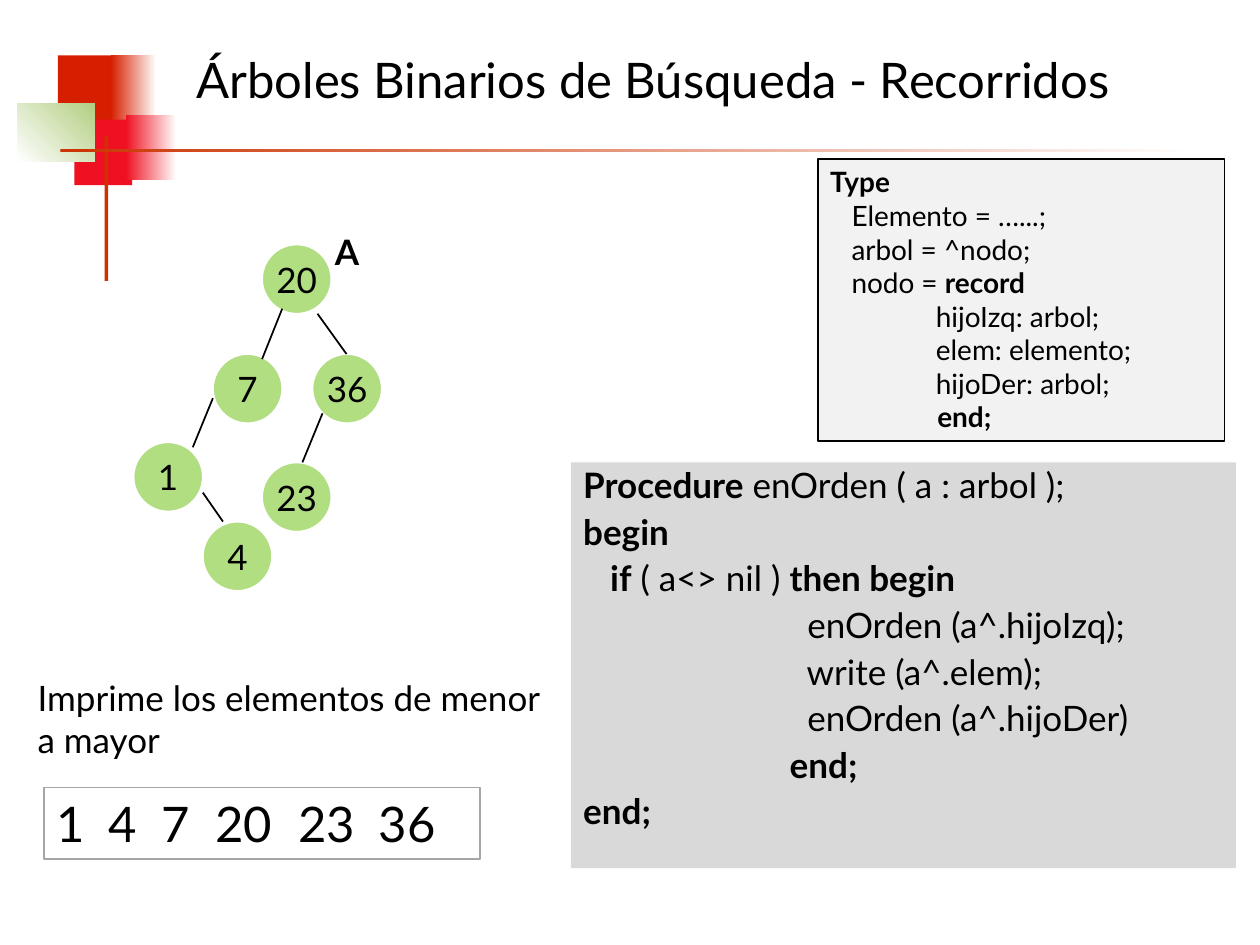
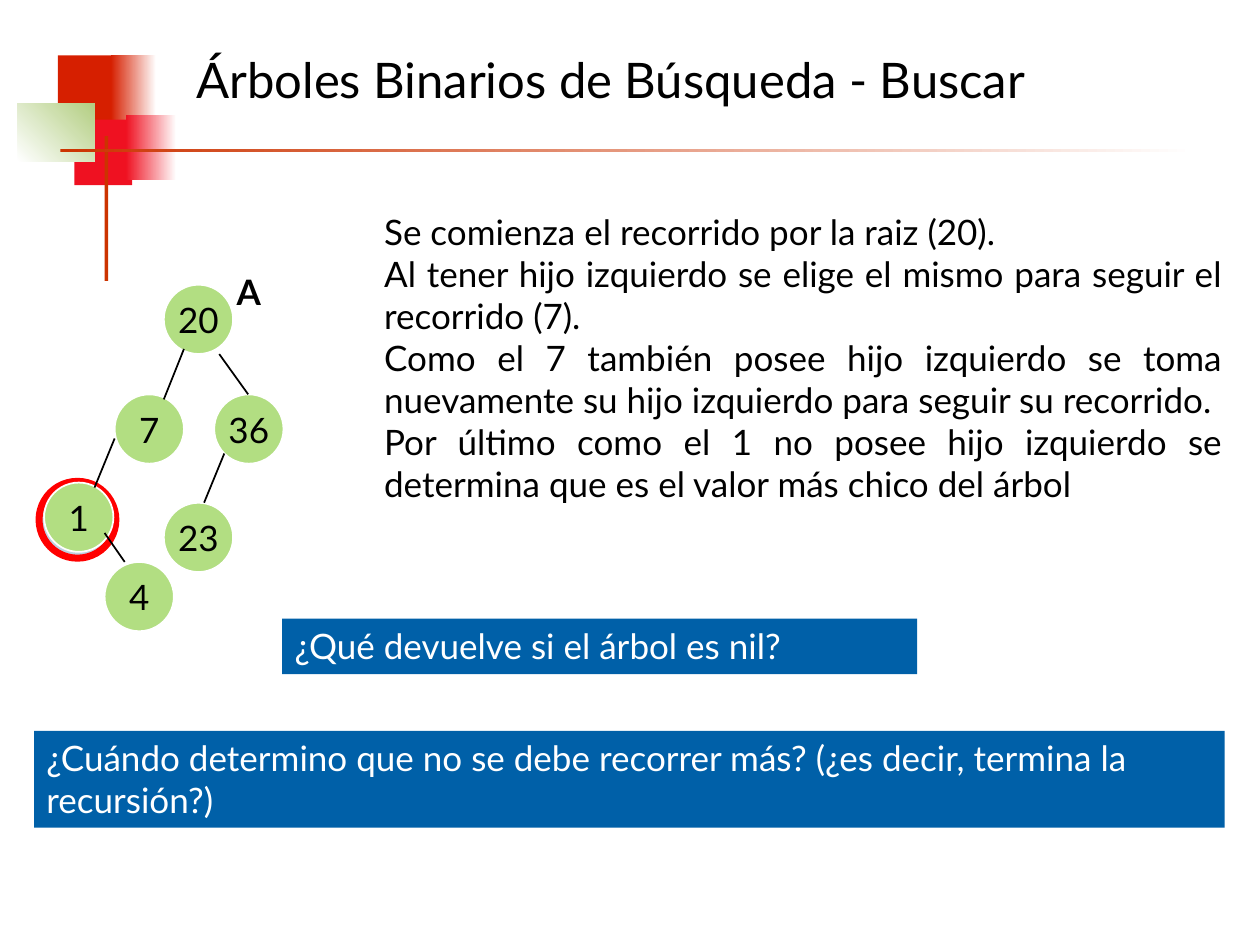
from lxml import etree
from pptx import Presentation
from pptx.dml.color import RGBColor
from pptx.enum.shapes import MSO_CONNECTOR as Connector, MSO_SHAPE as Shape
from pptx.enum.text import MSO_ANCHOR as Anchor, MSO_AUTO_SIZE as AutoSize, PP_ALIGN as Align
from pptx.oxml.ns import qn
from pptx.util import Inches, Pt

FONT = "Lato"
BLACK, WHITE, RED, ORANGE = "000000", "FFFFFF", "FF0000", "CC3300"
BRICK, CRIMSON, LEAF, NODE_GREEN = "D61F00", "EF1121", "B3CE82", "B2DE82"
PALE_BLUE, BLUE, CODE_GRAY, TYPE_GRAY, FRAME_GRAY = "BED1E0", "0060A8", "D9D9D9", "F2F2F2", "A6A6A6"

TITLE_AREA = (1.46, 0.13, 8.11, 1)
TITLES = [
    "Árboles Binarios de Búsqueda - Recorridos",
    "Árboles Binarios de Búsqueda - Buscar",
]

EMBLEM = [
    ((0.46, 0.44, 0.48, 0.52), (BRICK,), 0),
    ((0.88, 0.44, 0.36, 0.52), (BRICK, WHITE), 0),
    ((0.59, 0.95, 0.46, 0.52), (CRIMSON,), 0),
    ((1, 0.91, 0.4, 0.52), (CRIMSON, WHITE), 0),
    ((0.14, 0.82, 0.61, 0.46), (WHITE, LEAF), 45),
    ((0.83, 1.08, 0.03, 1.15), (ORANGE,), 0),
    ((0.48, 1.18, 9, 0.03), (ORANGE, WHITE), 0),
]

NODE_SIZE = 0.55
NODES = {
    "20": (0, 0),
    "7": (-0.39, 0.87),
    "36": (0.4, 0.87),
    "1": (-1.02, 1.57),
    "4": (-0.47, 2.2),
    "23": (0, 1.73),
}
EDGES = [
    ((0.16, 0.51), (0, 0.91)),
    ((0.44, 0.55), (0.67, 0.87)),
    ((-0.39, 1.22), (-0.55, 1.61)),
    ((-0.47, 1.97), (-0.31, 2.2)),
    ((0.48, 1.34), (0.32, 1.73)),
]
TREE_LABEL = (0.48, -0.16)

PROCEDURE = [
    "|Procedure| enOrden ( a : arbol );",
    "|begin|",
    "   |if| ( a<> nil ) |then begin|",
    "                         enOrden (a^.hijoIzq);",
    "                         write (a^.elem);",
    "                         enOrden (a^.hijoDer)",
    "                       |end;|",
    "|end;|",
]
TYPES = [
    "|Type|",
    "   Elemento = …...;",
    "   arbol = ^nodo;",
    "   nodo = |record|",
    "\t      hijoIzq: arbol;",
    "\t      elem: elemento;",
    "\t      hijoDer: arbol;",
    "               |end;|",
]
EXPLANATION = ["Imprime los elementos de menor a mayor"]
PRINTED = ["1", "4", "7", "20", "23", "36"]
PRINTED_STOPS = [0.41, 0.83, 1.26, 1.92, 2.56]
SEARCH_STEPS = [
    "Se comienza el recorrido por la raiz (20).",
    "Al tener hijo izquierdo se elige el mismo para seguir el recorrido (7).",
    "Como el 7 también posee hijo izquierdo se toma nuevamente su hijo izquierdo para seguir su recorrido.",
    "Por último como el 1 no posee hijo izquierdo se determina que es el valor más chico del árbol",
]
QUESTIONS = [
    ((2.24, 4.91, 5.04, 0.44), "¿Qué devuelve si el árbol es nil?"),
    ((0.27, 5.8, 9.45, 0.77),
     "¿Cuándo determino que no se debe recorrer más? (¿es decir, termina la recursión?)"),
]


def rgb(color):
    return RGBColor.from_string(color)


def inches(values):
    return [Inches(value) for value in values]


def apply(target, **values):
    for key, value in values.items():
        setattr(target, key, value)


def paint(shape, fill=None, line=None, width=1):
    shape.shadow.inherit = False
    if fill:
        shape.fill.solid()
        shape.fill.fore_color.rgb = rgb(fill)
    else:
        shape.fill.background()
    if line:
        shape.line.color.rgb = rgb(line)
        shape.line.width = Pt(width)
    else:
        shape.line.fill.background()


def write(frame, lines, size=20, color=BLACK, anchor=Anchor.TOP, wrap=True, stops=(), **paragraph_format):
    margins = dict(margin_left=0.1, margin_right=0.1, margin_top=0.05, margin_bottom=0.05)
    apply(frame, auto_size=AutoSize.NONE, word_wrap=wrap, vertical_anchor=anchor,
          **{side: Inches(gap) for side, gap in margins.items()})
    for index, line in enumerate(lines):
        paragraph = frame.add_paragraph() if index else frame.paragraphs[0]
        apply(paragraph, **{"alignment": Align.LEFT, **paragraph_format})
        if index == 0:
            paragraph.space_before = Pt(0)
        if stops:
            tabs = etree.SubElement(paragraph._p.get_or_add_pPr(), qn("a:tabLst"))
            for stop in stops:
                etree.SubElement(tabs, qn("a:tab"), pos=str(Inches(stop)), algn="l")
        for part, text in enumerate(line.split("|")):
            if text:
                run = paragraph.add_run()
                run.text = text
                apply(run.font, name=FONT, size=Pt(size), bold=part % 2 == 1)
                run.font.color.rgb = rgb(color)


def add_panel(slide, area, lines, fill=None, line=None, **text_format):
    panel = slide.shapes.add_shape(Shape.RECTANGLE, *inches(area))
    paint(panel, fill, line)
    write(panel.text_frame, lines, **text_format)


def add_note(slide, area, lines, **text_format):
    note = slide.shapes.add_textbox(*inches(area))
    write(note.text_frame, lines, **text_format)


def add_emblem(master, slide):
    for number, (area, colors, angle) in enumerate(EMBLEM, 101):
        block = slide.shapes.add_shape(Shape.RECTANGLE, *inches(area))
        paint(block, colors[0])
        if len(colors) > 1:
            block.fill.gradient()
            block.fill.gradient_angle = angle
            for position, (stop, color) in enumerate(zip(block.fill.gradient_stops, colors)):
                stop.position = position
                stop.color.rgb = rgb(color)
        block.element.nvSpPr.cNvPr.id = number
        master.shapes.element.append(block.element)


def add_titled_slide(deck, title):
    slide = deck.slides.add_slide(deck.slide_layouts[5])
    heading = slide.shapes.title
    apply(heading, **dict(zip(("left", "top", "width", "height"), inches(TITLE_AREA))))
    write(heading.text_frame, [title], size=28, anchor=Anchor.MIDDLE)
    return slide


def add_tree(slide, root, nodes):
    def place(offset):
        return [base + shift for base, shift in zip(root, offset)]

    for value, offset in nodes.items():
        node = slide.shapes.add_shape(Shape.OVAL, *inches([*place(offset), NODE_SIZE, NODE_SIZE]))
        paint(node, NODE_GREEN, WHITE)
        write(node.text_frame, [value], anchor=Anchor.MIDDLE, wrap=False, alignment=Align.CENTER)
    for start, end in EDGES:
        edge = slide.shapes.add_connector(Connector.STRAIGHT, *inches(place(start) + place(end)))
        edge.line.color.rgb = rgb(BLACK)
        edge.line.width = Pt(1)
        etree.SubElement(edge.element.spPr, qn("a:effectLst"))
    add_note(slide, [*place(TREE_LABEL), 0.39, 0.44], ["|A|"])


def build_traversal(slide):
    add_panel(slide, (4.53, 3.67, 5.28, 3.22), PROCEDURE, CODE_GRAY,
              line_spacing=0.9, space_before=Pt(5))
    add_tree(slide, (2.08, 1.94), NODES)
    add_panel(slide, (0.35, 6.25, 3.46, 0.57), ["\t".join(PRINTED)], line=FRAME_GRAY,
              size=28, stops=PRINTED_STOPS)
    add_note(slide, (0.2, 5.32, 4.33, 0.77), EXPLANATION)
    add_panel(slide, (6.49, 1.26, 3.23, 2.24), TYPES, TYPE_GRAY, BLACK, size=16)


def build_search(slide):
    ring = slide.shapes.add_shape(Shape.OVAL, *inches((0.31, 3.82, 0.61, 0.61)))
    paint(ring, PALE_BLUE, RED, 4)
    add_tree(slide, (1.3, 2.26), {**NODES, "1": (-0.95, 1.57)})
    add_note(slide, (2.95, 1.62, 6.85, 2.77), SEARCH_STEPS, alignment=Align.JUSTIFY)
    for area, question in QUESTIONS:
        add_panel(slide, area, [question], BLUE, color=WHITE)


def main():
    deck = Presentation()
    apply(deck, slide_width=Inches(10), slide_height=Inches(7.5))
    traversal, search = [add_titled_slide(deck, title) for title in TITLES]
    add_emblem(deck.slide_master, traversal)
    build_traversal(traversal)
    build_search(search)
    deck.save("out.pptx")


if __name__ == "__main__":
    main()
